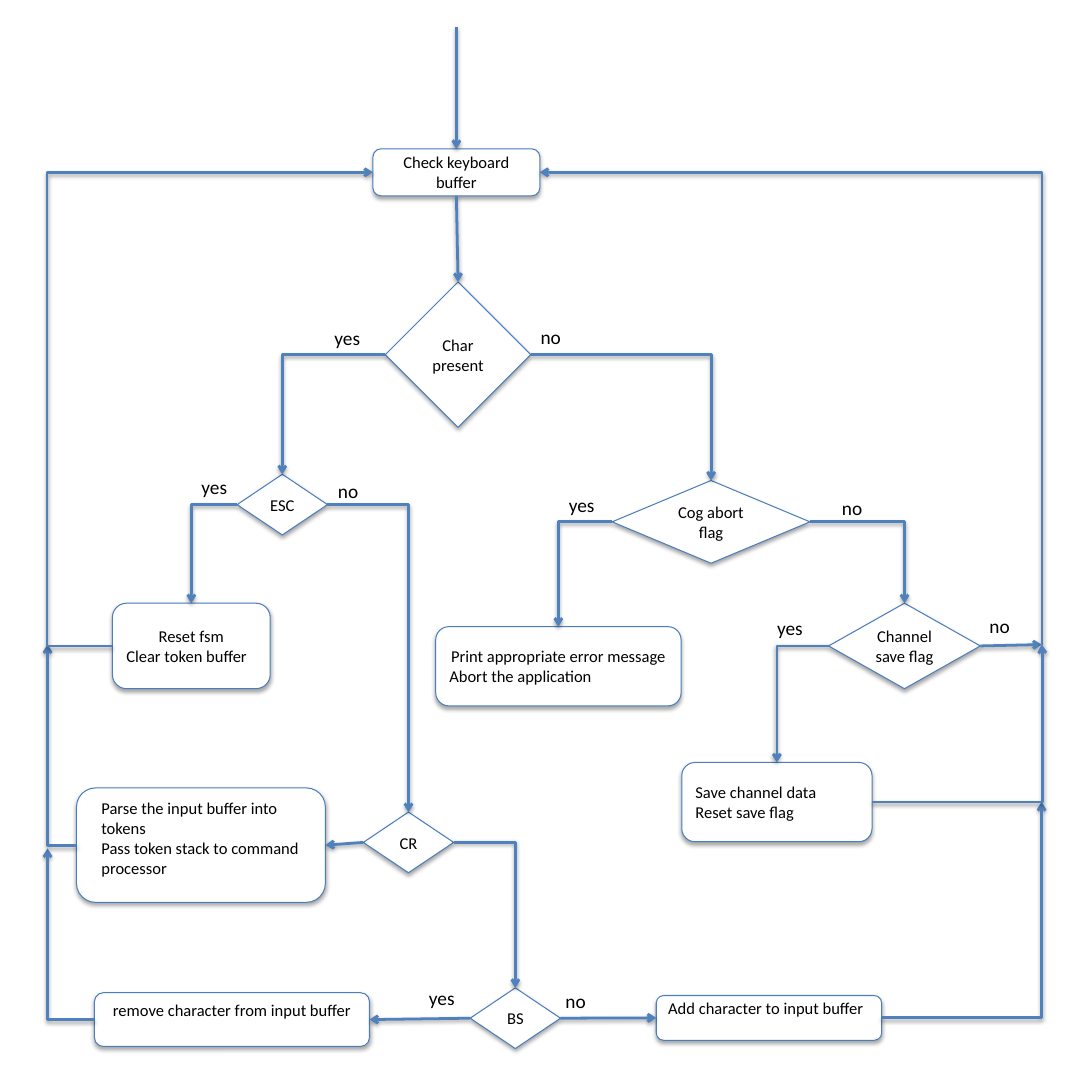
from lxml import etree
from pptx import Presentation, util as u
from pptx.dml.color import RGBColor
from pptx.enum import shapes, text
from pptx.oxml import ns, parse_xml

COLORS = {"fill": "FFFFFF", "outline": "4B7EBC", "arrow": "4F81BD", "text": "000000"}
FONT = "Calibri"
BOX = shapes.MSO_SHAPE.FLOWCHART_ALTERNATE_PROCESS
DECISION = shapes.MSO_SHAPE.FLOWCHART_DECISION
ALIGN = {"c": text.PP_ALIGN.CENTER, "l": text.PP_ALIGN.LEFT}
TOP, LEFT, BOTTOM, RIGHT = range(4)
LEFT_RAIL, RIGHT_RAIL = 34.5, 755.5

# name: (kind, left, top, width, height, text, alignment of each paragraph)
NODES = {
    "char": (DECISION, 279.5, 204.5, 105.5, 105.5, "Char present", "c"),
    "check": (BOX, 270.5, 108, 121, 34, "Check keyboard buffer", "c"),
    "reset": (BOX, 81.5, 437.5, 114.5, 62, "Reset fsm\nClear token buffer", "cl"),
    "print": (BOX, 316, 454.5, 178, 57.5,
              "Print appropriate error message\nAbort the application", "cl"),
    "esc": (DECISION, 172, 344, 65.5, 44, "ESC", "c"),
    "cog": (DECISION, 444, 348.5, 143.5, 60, "Cog abort flag", "c"),
    "save": (BOX, 494.5, 553, 138, 57.5, "Save channel data\nReset save flag", "ll"),
    "cr": (DECISION, 263.5, 589, 65.5, 44, "CR", "c"),
    "channel": (DECISION, 601, 437.5, 110, 62, "Channel save flag", "c"),
    "parse": (BOX, 55.5, 571.5, 180.5, 83,
              "Parse the input buffer into tokens\nPass token stack to command processor", "ll"),
    "bs": (DECISION, 341, 716.5, 65.5, 44, "BS", "c"),
    "remove": (BOX, 68.5, 720, 199.5, 39, "remove character from input buffer", "c"),
    "add": (BOX, 476, 722, 163.5, 32.5, "Add character to input buffer", "l"),
}

# An end is either (node, side) or a free point (x, y)
STRAIGHT_ARROWS = [
    ((331, 19.5), ("check", TOP)),
    (("check", BOTTOM), ("char", TOP)),
    (("channel", RIGHT), (RIGHT_RAIL, 467.5)),
    (("bs", RIGHT), ("add", LEFT)),
    (("bs", LEFT), ("remove", RIGHT)),
    (("cr", LEFT), ("parse", RIGHT)),
]
CORNER_ARROWS = [
    (("char", LEFT), ("esc", TOP)),
    (("char", RIGHT), ("cog", TOP)),
    (("esc", LEFT), ("reset", TOP)),
    (("esc", RIGHT), ("cr", TOP)),
    (("cr", RIGHT), ("bs", TOP)),
    (("cog", LEFT), ("print", TOP)),
    (("cog", RIGHT), ("channel", TOP)),
    (("channel", LEFT), ("save", TOP)),
    (("add", RIGHT), (RIGHT_RAIL, 581.75)),
    (("remove", LEFT), (LEFT_RAIL, 615.5)),
    (("parse", LEFT), (LEFT_RAIL, 467.5)),
]
# Arrows with two bends, and the x of their upright stretch
LOOP_ARROWS = [
    (("reset", LEFT), ("check", LEFT), 34),
    ((RIGHT_RAIL, 467.5), ("check", RIGHT), 756),
    (("save", RIGHT), (RIGHT_RAIL, 467.5), 756),
]

LABELS = {
    "yes": [(235.5, 233), (139, 341.5), (405.5, 354), (556.5, 443.5), (304, 712)],
    "no": [(385, 232.5), (238, 344), (603.5, 356.5), (710.5, 442), (403, 714)],
}
LABEL_WIDTHS = {"yes": 34, "no": 29.5}


def color(name):
    return RGBColor.from_string(COLORS[name])


def style_text(frame, size, alignment):
    """Format every paragraph; alignment holds one letter for each."""
    for para, letter in zip(frame.paragraphs, alignment):
        para.alignment = ALIGN[letter]
        for span in para.runs:
            span.font.size = u.Pt(size)
            span.font.name = FONT
            span.font.color.rgb = color("text")


def add_shadow(shape, distance, opacity):
    shape._element.spPr.append(parse_xml(
        f'<a:effectLst {ns.nsdecls("a")}>'
        f'<a:outerShdw blurRad="{u.Pt(3.15)}" dist="{u.Pt(distance)}" dir="5400000"'
        f' rotWithShape="0"><a:srgbClr val="000000"><a:alpha val="{opacity * 1000}"/>'
        '</a:srgbClr></a:outerShdw></a:effectLst>'))


def add_node(slide, kind, left, top, width, height, words, alignment):
    box = slide.shapes.add_shape(kind, *map(u.Pt, (left, top, width, height)))
    box.fill.solid()
    box.fill.fore_color.rgb = color("fill")
    box.line.color.rgb = color("outline")
    box.line.width = u.Pt(0.75)
    add_shadow(box, 1.8, 35)
    frame = box.text_frame
    frame.text = words
    frame.word_wrap = True
    frame.vertical_anchor = text.MSO_ANCHOR.MIDDLE
    if kind == DECISION:
        frame.margin_left = frame.margin_right = u.Pt(6.5)
    style_text(frame, 12, alignment)
    return box


def add_label(slide, words, left, top):
    box = slide.shapes.add_textbox(*map(u.Pt, (left, top, LABEL_WIDTHS[words], 24.5)))
    frame = box.text_frame
    frame.text = words
    frame.word_wrap = False
    frame.auto_size = text.MSO_AUTO_SIZE.SHAPE_TO_FIT_TEXT
    style_text(frame, 14, "l")


def locate(nodes, end):
    """Give the x and y of an arrow's end."""
    if end[0] not in nodes:
        return u.Pt(end[0]), u.Pt(end[1])
    box, side = nodes[end[0]], end[1]
    across = {LEFT: 0, RIGHT: box.width}.get(side, box.width // 2)
    down = {TOP: 0, BOTTOM: box.height}.get(side, box.height // 2)
    return box.left + across, box.top + down


def add_arrow(slide, nodes, start, finish, kind=shapes.MSO_CONNECTOR.STRAIGHT):
    arrow = slide.shapes.add_connector(kind, *locate(nodes, start), *locate(nodes, finish))
    for end, connect in ((start, arrow.begin_connect), (finish, arrow.end_connect)):
        if end[0] in nodes:
            connect(nodes[end[0]], end[1])
    arrow.line.color.rgb = color("arrow")
    arrow.line.width = u.Pt(2)
    etree.SubElement(arrow.line._get_or_add_ln(), ns.qn("a:tailEnd"), type="arrow")
    add_shadow(arrow, 1.6, 38)
    return arrow


def add_corner_arrow(slide, nodes, start, finish):
    """Draw an arrow that runs sideways, then up or down."""
    arrow = add_arrow(slide, nodes, start, finish, shapes.MSO_CONNECTOR.ELBOW)
    arrow._element.spPr.find(ns.qn("a:prstGeom")).set("prst", "bentConnector2")


def add_loop_arrow(slide, nodes, start, finish, bend_x):
    arrow = add_arrow(slide, nodes, start, finish, shapes.MSO_CONNECTOR.ELBOW)
    share = (u.Pt(bend_x) - arrow.begin_x) / (arrow.end_x - arrow.begin_x)
    guides = arrow._element.spPr.find(ns.qn("a:prstGeom")).get_or_add_avLst()
    etree.SubElement(guides, ns.qn("a:gd"), name="adj1", fmla=f"val {round(share * 100000)}")


def main():
    deck = Presentation()
    deck.slide_width = deck.slide_height = u.Pt(792)
    slide = deck.slides.add_slide(deck.slide_layouts[6])

    nodes = {name: add_node(slide, *values) for name, values in NODES.items()}
    nodes["parse"].text_frame.vertical_anchor = text.MSO_ANCHOR.TOP
    nodes["parse"].text_frame.margin_left = u.Pt(14)
    for name in ("remove", "add"):
        nodes[name].text_frame.margin_bottom = u.Pt(18)

    for ends in STRAIGHT_ARROWS:
        add_arrow(slide, nodes, *ends)
    for ends in CORNER_ARROWS:
        add_corner_arrow(slide, nodes, *ends)
    for ends in LOOP_ARROWS:
        add_loop_arrow(slide, nodes, *ends)
    for words, places in LABELS.items():
        for place in places:
            add_label(slide, words, *place)
    deck.save("out.pptx")


if __name__ == "__main__":
    main()
